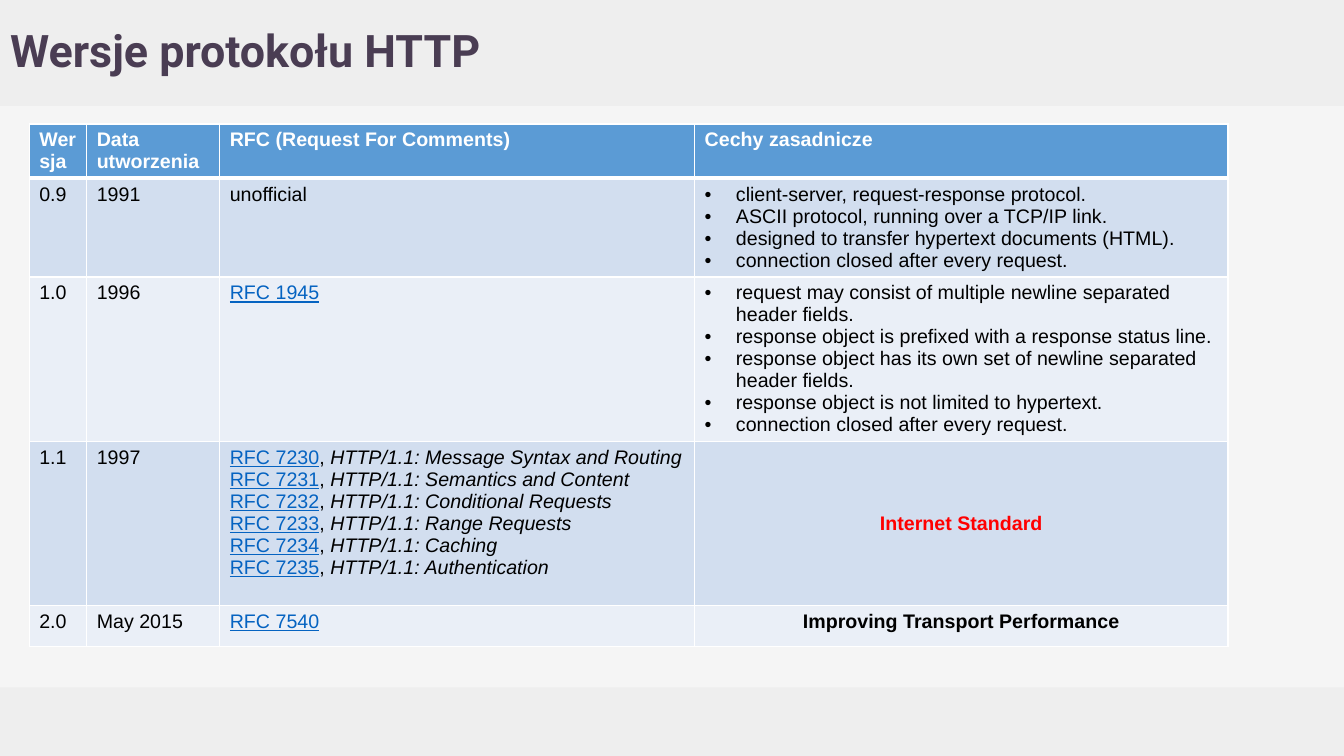
from dataclasses import dataclass

from lxml import etree
from pptx import Presentation
from pptx.dml.color import RGBColor
from pptx.enum.shapes import MSO_SHAPE
from pptx.enum.text import MSO_ANCHOR, MSO_AUTO_SIZE, PP_ALIGN
from pptx.oxml.ns import qn
from pptx.util import Inches, Pt

RECTANGLE = MSO_SHAPE.RECTANGLE
MIDDLE = MSO_ANCHOR.MIDDLE
LEFT, CENTER = PP_ALIGN.LEFT, PP_ALIGN.CENTER
NO_AUTOFIT = MSO_AUTO_SIZE.NONE


@dataclass(frozen=True)
class Theme:
    background: RGBColor = RGBColor.from_string("F5F5F5")
    band: RGBColor = RGBColor.from_string("EEEEEE")
    title: RGBColor = RGBColor.from_string("4A3D53")
    header: RGBColor = RGBColor.from_string("5B9BD5")
    odd_row: RGBColor = RGBColor.from_string("D2DEEF")
    even_row: RGBColor = RGBColor.from_string("EAEFF7")
    white: RGBColor = RGBColor.from_string("FFFFFF")
    text: RGBColor = RGBColor.from_string("000000")
    link: RGBColor = RGBColor.from_string("0563C1")
    standard: RGBColor = RGBColor.from_string("FF0000")
    title_font: str = "Roboto"
    table_font: str = "Arial"
    title_size: int = 32
    table_size: int = 14


THEME = Theme()

HEADINGS = ["Wersja", "Data utworzenia", "RFC (Request For Comments)", "Cechy zasadnicze"]
VERSIONS = [
    ("0.9", "1991", ["unofficial"], [
        "client-server, request-response protocol.",
        "ASCII protocol, running over a TCP/IP link.",
        "designed to transfer hypertext documents (HTML).",
        "connection closed after every request.",
    ]),
    ("1.0", "1996", ["RFC 1945"], [
        "request may consist of multiple newline separated header fields.",
        "response object is prefixed with a response status line.",
        "response object has its own set of newline separated header fields.",
        "response object is not limited to hypertext.",
        "connection closed after every request.",
    ]),
    ("1.1", "1997", [
        "RFC 7230, HTTP/1.1: Message Syntax and Routing",
        "RFC 7231, HTTP/1.1: Semantics and Content",
        "RFC 7232, HTTP/1.1: Conditional Requests",
        "RFC 7233, HTTP/1.1: Range Requests",
        "RFC 7234, HTTP/1.1: Caching",
        "RFC 7235, HTTP/1.1: Authentication",
    ], ["Internet Standard"]),
    ("2.0", "May 2015", ["RFC 7540"], ["Improving Transport Performance"]),
]
COLUMN_WIDTHS = [0.57, 1.32, 4.71, 5.29]
ROW_HEIGHTS = [0.53, 0.98, 1.63, 1.63, 0.41]


def set_borders(cell, top, bottom):
    """Draw white borders, 1 pt at the sides and the given points above and below."""
    properties = cell._tc.get_or_add_tcPr()
    sides = [("a:lnL", 1), ("a:lnR", 1), ("a:lnT", top), ("a:lnB", bottom)]
    for position, (side, points) in enumerate(sides):
        line = etree.Element(qn(side), w=str(Pt(points)))
        solid = etree.SubElement(line, qn("a:solidFill"))
        etree.SubElement(solid, qn("a:srgbClr"), val=str(THEME.white))
        properties.insert(position, line)


def write_lines(cell, lines, color, bold=False):
    """Write one paragraph a line; an RFC number becomes link-styled, its title italic."""
    cell.text_frame.text = "\n".join(lines)
    for paragraph, line in zip(cell.text_frame.paragraphs, lines):
        if line.startswith("RFC "):
            number, comma, document = line.partition(", ")
            paragraph.text = number
            if document:
                paragraph.add_run().text = comma
                paragraph.add_run().text = document
        for run in paragraph.runs:
            run.font.name = THEME.table_font
            run.font.size = Pt(THEME.table_size)
            run.font.color.rgb = color
            run.font.bold = bold
            run.font.italic = run.text.startswith("HTTP/")
            if run.text.startswith("RFC ") and run.text[4:].isdigit():
                run.font.color.rgb = THEME.link
                run.font.underline = True


deck = Presentation()
deck.slide_width = Inches(13.33)
deck.slide_height = Inches(7.5)
slide = deck.slides.add_slide(deck.slide_layouts[5])
slide.background.fill.solid()
slide.background.fill.fore_color.rgb = THEME.background

# Bands behind the title and along the bottom
title = slide.shapes.title
for top, height in [(6.82, 0.68), (0, 1.05)]:
    band = slide.shapes.add_shape(RECTANGLE, 0, Inches(top), Inches(13.33), Inches(height))
    band.shadow.inherit = False
    band.fill.solid()
    band.fill.fore_color.rgb = THEME.band
    band.line.fill.background()
    title.element.addprevious(band.element)

# Title
title.left, title.top, title.width, title.height = 0, 0, Inches(11.91), Inches(1.05)
title_frame = title.text_frame
title_frame.text = "Wersje protokołu HTTP"
title_frame.auto_size = NO_AUTOFIT
title_frame.word_wrap = True
title_frame.vertical_anchor = MIDDLE
title_frame.margin_left = title_frame.margin_right = Inches(0.1)
title_frame.margin_top = title_frame.margin_bottom = Inches(0.1)
heading = title_frame.paragraphs[0]
heading.alignment = LEFT
heading.line_spacing = 0.9
heading_font = heading.runs[0].font
heading_font.name = THEME.title_font
heading_font.size = Pt(THEME.title_size)
heading_font.bold = True
heading_font.color.rgb = THEME.title

# Table of versions
versions = slide.shapes.add_table(
    len(ROW_HEIGHTS), len(COLUMN_WIDTHS), Inches(0.29), Inches(1.23),
    Inches(sum(COLUMN_WIDTHS)), Inches(sum(ROW_HEIGHTS))).table
for column, width in zip(versions.columns, COLUMN_WIDTHS):
    column.width = Inches(width)
for row, height in zip(versions.rows, ROW_HEIGHTS):
    row.height = Inches(height)

for cell, label in zip(versions.rows[0].cells, HEADINGS):
    write_lines(cell, [label], THEME.white, bold=True)
    cell.fill.solid()
    cell.fill.fore_color.rgb = THEME.header
    set_borders(cell, top=1, bottom=3)

for index, (number, date, documents, features) in enumerate(VERSIONS, start=1):
    cells = list(versions.rows[index].cells)
    for cell in cells:
        cell.fill.solid()
        cell.fill.fore_color.rgb = THEME.odd_row if index % 2 else THEME.even_row
        set_borders(cell, top=3 if index == 1 else 1, bottom=1)
    for cell, lines in zip(cells, [[number], [date], documents]):
        write_lines(cell, lines, THEME.text)

    feature_cell = cells[-1]
    if len(features) > 1:
        write_lines(feature_cell, features, THEME.text)
        for paragraph in feature_cell.text_frame.paragraphs:
            properties = paragraph._p.get_or_add_pPr()
            properties.set("marL", str(Inches(0.31)))
            properties.set("indent", str(-Inches(0.31)))
            etree.SubElement(properties, qn("a:buFont"), typeface=THEME.table_font)
            etree.SubElement(properties, qn("a:buChar"), char="•")
    else:
        is_standard = features == ["Internet Standard"]
        write_lines(feature_cell, features, THEME.standard if is_standard else THEME.text, bold=True)
        feature_cell.text_frame.paragraphs[0].alignment = CENTER
        if is_standard:
            feature_cell.vertical_anchor = MIDDLE

deck.save("out.pptx")
